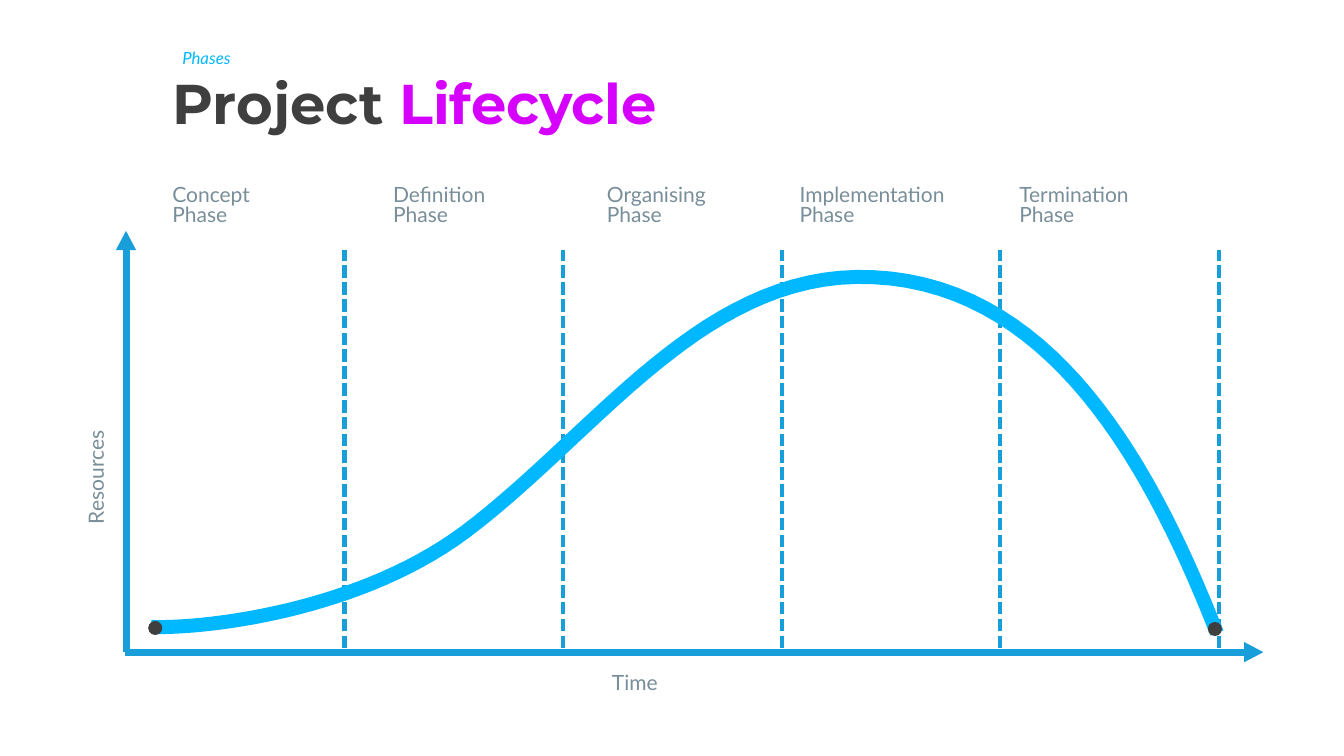
"""Build a project lifecycle slide: resources over time across five phases."""
import pptx
import pptx.dml.color
import pptx.enum.dml
import pptx.enum.shapes
import pptx.enum.text
import pptx.util
from lxml import etree

RGBColor = pptx.dml.color.RGBColor
Inches = pptx.util.Inches
Pt = pptx.util.Pt

DARK = RGBColor(0x3F, 0x3F, 0x3F)
MAGENTA = RGBColor(0xD6, 0x00, 0xFF)
AXIS_BLUE = RGBColor(0x18, 0x9E, 0xD9)
CURVE_BLUE = RGBColor(0x00, 0xB8, 0xFF)
GREY = RGBColor(0x78, 0x8E, 0x99)

AXIS_LEFT, AXIS_BOTTOM = 1.25, 6.47
AXIS_TOP, AXIS_RIGHT = 2.48, 12.34
TEXT_LEFT = 1.71
PHASES = [
    (["Concept Phase"], TEXT_LEFT, 1.03),
    (["Definition Phase"], 3.9, 1.03),
    (["Organising Phase"], 6.02, 1.14),
    (["Implementation Phase"], 7.93, 1.68),
    (["Termination", "Phase"], 10.11, 1.68),
]
COLUMN = (12.09 - AXIS_LEFT) / len(PHASES)
CURVE_START = (1.5, 6.22)
CURVE_SEGMENTS = [
    ((2.02, 6.24), (3.55, 6.07), (4.61, 5.28)),
    ((5.92, 4.3), (6.98, 2.67), (8.66, 2.75)),
    ((10.42, 2.83), (11.4, 4.57), (12.07, 6.28)),
]
CURVE_STEPS = 30


def add_span(para, text, font, size, color, bold=False, italic=False):
    """Add one formatted run to a paragraph."""
    span = para.add_run()
    span.text = text
    span.font.name = font
    span.font.size = Pt(size)
    span.font.color.rgb = color
    span.font.bold = bold
    span.font.italic = italic


def set_frame(frame, inset=0.0):
    """Make a text frame wrap, centre it vertically and set its insets."""
    frame.word_wrap = True
    frame.vertical_anchor = pptx.enum.text.MSO_ANCHOR.MIDDLE
    frame.margin_left = frame.margin_right = Inches(inset)
    frame.margin_top = frame.margin_bottom = Inches(inset / 2)


def add_label(page, lines, left, top, width, height, rotation=0):
    """Add a grey label with one paragraph per line."""
    box = page.shapes.add_textbox(Inches(left), Inches(top), Inches(width), Inches(height))
    box.rotation = rotation
    frame = box.text_frame
    set_frame(frame)
    for index, text in enumerate(lines):
        para = frame.add_paragraph() if index else frame.paragraphs[0]
        para.line_spacing = 0.8
        add_span(para, text, "Lato", 15, GREY)


def add_line(page, start, end, weight, dashed=False):
    """Add a straight blue line, dashed on request."""
    line = page.shapes.add_connector(
        pptx.enum.shapes.MSO_CONNECTOR.STRAIGHT, *map(Inches, start + end))
    line.line.color.rgb = AXIS_BLUE
    line.line.width = Pt(weight)
    if dashed:
        line.line.dash_style = pptx.enum.dml.MSO_LINE.SQUARE_DOT
    etree.SubElement(line._element.spPr, pptx.oxml.ns.qn("a:effectLst"))


def add_outline(page, points, closed):
    """Add a freeform through the given points."""
    start, *rest = [(Inches(x), Inches(y)) for x, y in points]
    builder = page.shapes.build_freeform(*start)
    builder.add_line_segments(rest, close=closed)
    outline = builder.convert_to_shape()
    outline.shadow.inherit = False
    return outline


def add_arrowhead(page, points):
    """Add a solid triangle at the end of an axis."""
    head = add_outline(page, points, True)
    head.fill.solid()
    head.fill.fore_color.rgb = AXIS_BLUE
    head.line.fill.background()


def bezier_point(corners, t):
    """Return the point at share t of a cubic Bezier segment."""
    weights = ((1 - t) ** 3, 3 * t * (1 - t) ** 2, 3 * t * t * (1 - t), t ** 3)
    return tuple(sum(w * corner[axis] for w, corner in zip(weights, corners))
                 for axis in (0, 1))


def add_curve(page):
    """Add the resource curve as a finely stepped freeform."""
    points = [CURVE_START]
    for segment in CURVE_SEGMENTS:
        corners = (points[-1], *segment)
        points += [bezier_point(corners, step / CURVE_STEPS)
                   for step in range(1, CURVE_STEPS + 1)]
    curve = add_outline(page, points, False)
    curve.fill.background()
    curve.line.color.rgb = CURVE_BLUE
    curve.line.width = Pt(10)


def add_dot(page, x, y, size=0.14):
    """Add a dark dot centred on a point."""
    dot = page.shapes.add_shape(
        pptx.enum.shapes.MSO_SHAPE.OVAL,
        Inches(x - size / 2), Inches(y - size / 2), Inches(size), Inches(size))
    dot.shadow.inherit = False
    dot.fill.solid()
    dot.fill.fore_color.rgb = DARK
    dot.line.fill.background()


def add_heading(page):
    """Format the title and add the small line above it."""
    title = page.shapes.title
    title.left, title.top = Inches(TEXT_LEFT), Inches(0.75)
    title.width, title.height = Inches(9.04), Inches(0.61)
    set_frame(title.text_frame)
    title.text_frame.auto_size = pptx.enum.text.MSO_AUTO_SIZE.NONE
    para = title.text_frame.paragraphs[0]
    para.alignment = pptx.enum.text.PP_ALIGN.LEFT
    para.line_spacing = 0.9
    add_span(para, "Project ", "Montserrat", 40, DARK, bold=True)
    add_span(para, "Lifecycle", "Montserrat", 40, MAGENTA, bold=True)

    box = page.shapes.add_textbox(Inches(TEXT_LEFT), Inches(0.45), Inches(4.2), Inches(0.29))
    set_frame(box.text_frame, 0.1)
    box.text_frame.vertical_anchor = pptx.enum.text.MSO_ANCHOR.TOP
    para = box.text_frame.paragraphs[0]
    para.line_spacing = 0.9
    add_span(para, "Phases", "Lato", 12, CURVE_BLUE, italic=True)


def add_axes(page):
    """Add both axes with their arrowheads and labels."""
    half, length = 0.1, 0.19
    add_line(page, (AXIS_LEFT, AXIS_TOP - 0.06), (AXIS_LEFT, AXIS_BOTTOM), 5)
    add_line(page, (AXIS_RIGHT, AXIS_BOTTOM), (AXIS_LEFT - 0.01, AXIS_BOTTOM), 5)
    add_arrowhead(page, [(AXIS_LEFT, AXIS_TOP - length),
                         (AXIS_LEFT + half, AXIS_TOP), (AXIS_LEFT - half, AXIS_TOP)])
    add_arrowhead(page, [(AXIS_RIGHT + length, AXIS_BOTTOM),
                         (AXIS_RIGHT, AXIS_BOTTOM + half), (AXIS_RIGHT, AXIS_BOTTOM - half)])
    add_label(page, ["Time"], 6.07, 6.69, 1.5, 0.2)
    add_label(page, ["Resources"], 0.22, 4.35, 1.5, 0.2, rotation=270)


def main():
    """Build and save the slide."""
    deck = pptx.Presentation()
    deck.slide_width, deck.slide_height = Inches(13.33), Inches(7.5)
    page = deck.slides.add_slide(deck.slide_layouts[5])
    add_heading(page)
    for number, (lines, left, width) in enumerate(PHASES, 1):
        x = AXIS_LEFT + number * COLUMN
        add_line(page, (x, 6.43), (x, AXIS_TOP), 3, dashed=True)
        add_label(page, lines, left, 1.85, width, 0.4)
    add_curve(page)
    add_dot(page, 1.54, 6.23)
    add_dot(page, 12.05, 6.24)
    add_axes(page)
    deck.save("out.pptx")


if __name__ == "__main__":
    main()
